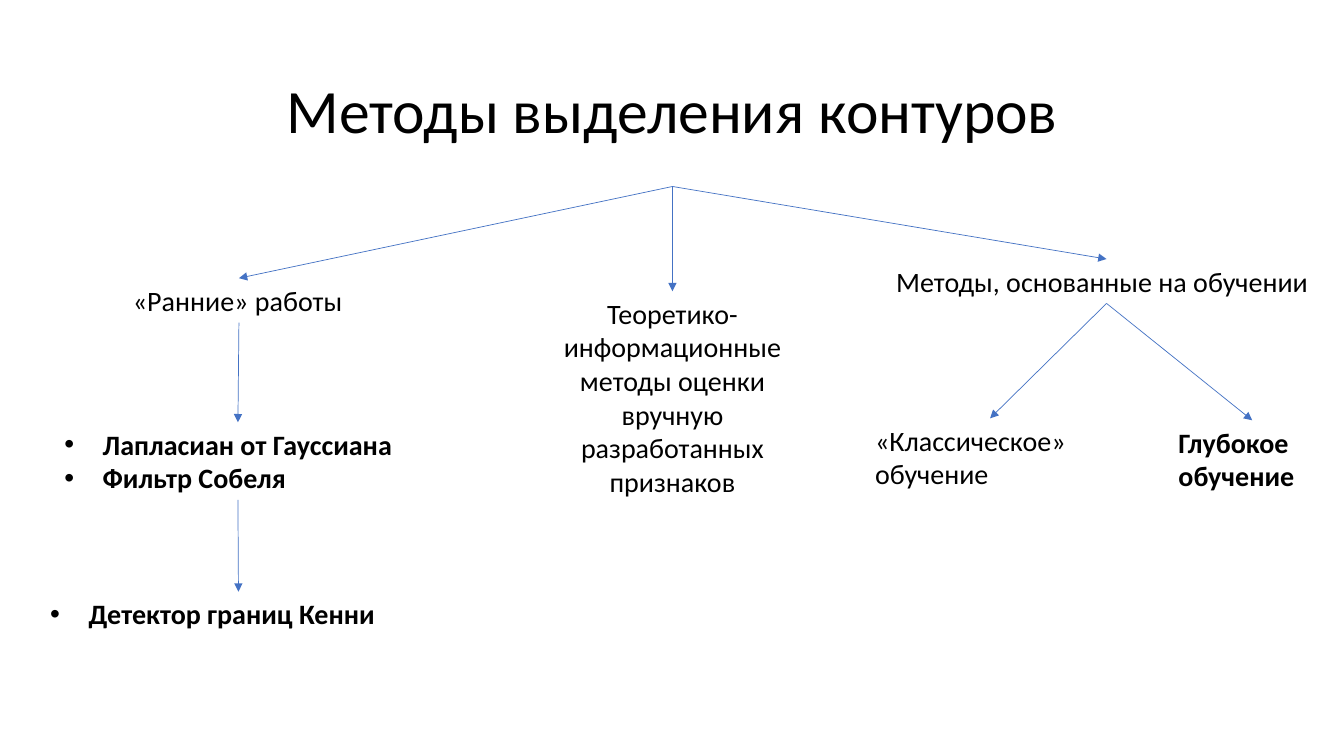
from dataclasses import dataclass

from lxml import etree
from pptx import Presentation
from pptx.dml.color import RGBColor
from pptx.enum.shapes import MSO_CONNECTOR
from pptx.enum.text import MSO_ANCHOR, MSO_AUTO_SIZE, PP_ALIGN
from pptx.oxml.ns import qn
from pptx.util import Inches, Pt

STRAIGHT = MSO_CONNECTOR.STRAIGHT
MIDDLE, TOP = MSO_ANCHOR.MIDDLE, MSO_ANCHOR.TOP
LEFT, CENTER = PP_ALIGN.LEFT, PP_ALIGN.CENTER
GROW, FIXED = MSO_AUTO_SIZE.SHAPE_TO_FIT_TEXT, MSO_AUTO_SIZE.NONE
TOP_SITE, BOTTOM_SITE = 0, 2  # connection sites of a rectangle


@dataclass(frozen=True)
class Theme:
    font: str = "Calibri"
    ink: RGBColor = RGBColor(0x00, 0x00, 0x00)
    arrow: RGBColor = RGBColor(0x44, 0x72, 0xC4)
    title_size: float = 44
    body_size: float = 20
    arrow_width: float = 0.5
    bullet_indent: float = 0.38


THEME = Theme()


def add_bullet(para):
    """Give the paragraph a hanging round bullet."""
    indent = Inches(THEME.bullet_indent)
    properties = para._p.get_or_add_pPr()
    properties.set("marL", str(indent))
    properties.set("indent", str(-indent))
    etree.SubElement(properties, qn("a:buFont")).set("typeface", "Arial")
    etree.SubElement(properties, qn("a:buChar")).set("char", "•")


def add_text(page, place, lines, size=THEME.body_size, bold=False,
             align=LEFT, bullets=False, wrap=True):
    box = page.shapes.add_textbox(*(Inches(length) for length in place))
    frame = box.text_frame
    frame.text = "\n".join(lines)
    frame.word_wrap = wrap
    frame.auto_size = GROW
    frame.vertical_anchor = TOP
    for para in frame.paragraphs:
        para.alignment = align
        if bullets:
            add_bullet(para)
        for span in para.runs:
            span.font.name = THEME.font
            span.font.size = Pt(size)
            span.font.bold = bold
            span.font.color.rgb = THEME.ink
    return box


def add_arrow(page, parent, child):
    """Draw an arrow from the bottom of one box to the top of another."""
    arrow = page.shapes.add_connector(STRAIGHT, 0, 0, 0, 0)
    arrow.begin_connect(parent, BOTTOM_SITE)
    arrow.end_connect(child, TOP_SITE)
    arrow.line.color.rgb = THEME.arrow
    arrow.line.width = Pt(THEME.arrow_width)
    outline = arrow.line._get_or_add_ln()
    etree.SubElement(outline, qn("a:tailEnd")).set("type", "triangle")
    etree.SubElement(arrow._element.spPr, qn("a:effectLst"))


def add_title(page, place):
    title = add_text(page, place, ["Методы выделения контуров"],
                     size=THEME.title_size, align=CENTER)
    title.text_frame.auto_size = FIXED
    title.text_frame.vertical_anchor = MIDDLE
    title.text_frame.paragraphs[0].line_spacing = 0.9
    return title


def add_early_branch(page, left, top, title):
    early = add_text(page, (left + 0.82, top, 2.3, 0.44),
                     ["«Ранние» работы"], wrap=False)
    filters = add_text(page, (left + 0.14, top + 1.43, 3.64, 0.77),
                       ["Лапласиан от Гауссиана", "Фильтр Собеля"],
                       bold=True, bullets=True)
    canny = add_text(page, (left, top + 3.11, 3.93, 0.44),
                     ["Детектор границ Кенни"], bold=True, bullets=True)
    chain = [title, early, filters, canny]
    for parent, child in zip(chain, chain[1:]):
        add_arrow(page, parent, child)


def add_theory_branch(page, left, top, title):
    theory = add_text(page, (left, top, 2.4, 2.12),
                      ["Теоретико-информационные методы оценки вручную "
                       "разработанных признаков"], align=CENTER)
    add_arrow(page, title, theory)


def add_learning_branch(page, left, top, title):
    learning = add_text(page, (left + 0.21, top, 4.37, 0.44),
                        ["Методы, основанные на обучении"])
    classic = add_text(page, (left, top + 1.58, 2.48, 0.77),
                       ["«Классическое» обучение"])
    deep = add_text(page, (left + 3.01, top + 1.6, 1.66, 0.77),
                    ["Глубокое обучение"], bold=True)
    add_arrow(page, title, learning)
    for child in (classic, deep):
        add_arrow(page, learning, child)


def main():
    deck = Presentation()
    deck.slide_width, deck.slide_height = Inches(13.33), Inches(7.5)
    page = deck.slides.add_slide(deck.slide_layouts[6])

    # Root of the tree, then its three branches from left to right
    title = add_title(page, (0.92, 0.4, 11.5, 1.45))
    add_early_branch(page, 0.4, 2.76, title)
    add_theory_branch(page, 5.47, 2.89, title)
    add_learning_branch(page, 8.58, 2.57, title)

    deck.save("out.pptx")


if __name__ == "__main__":
    main()
